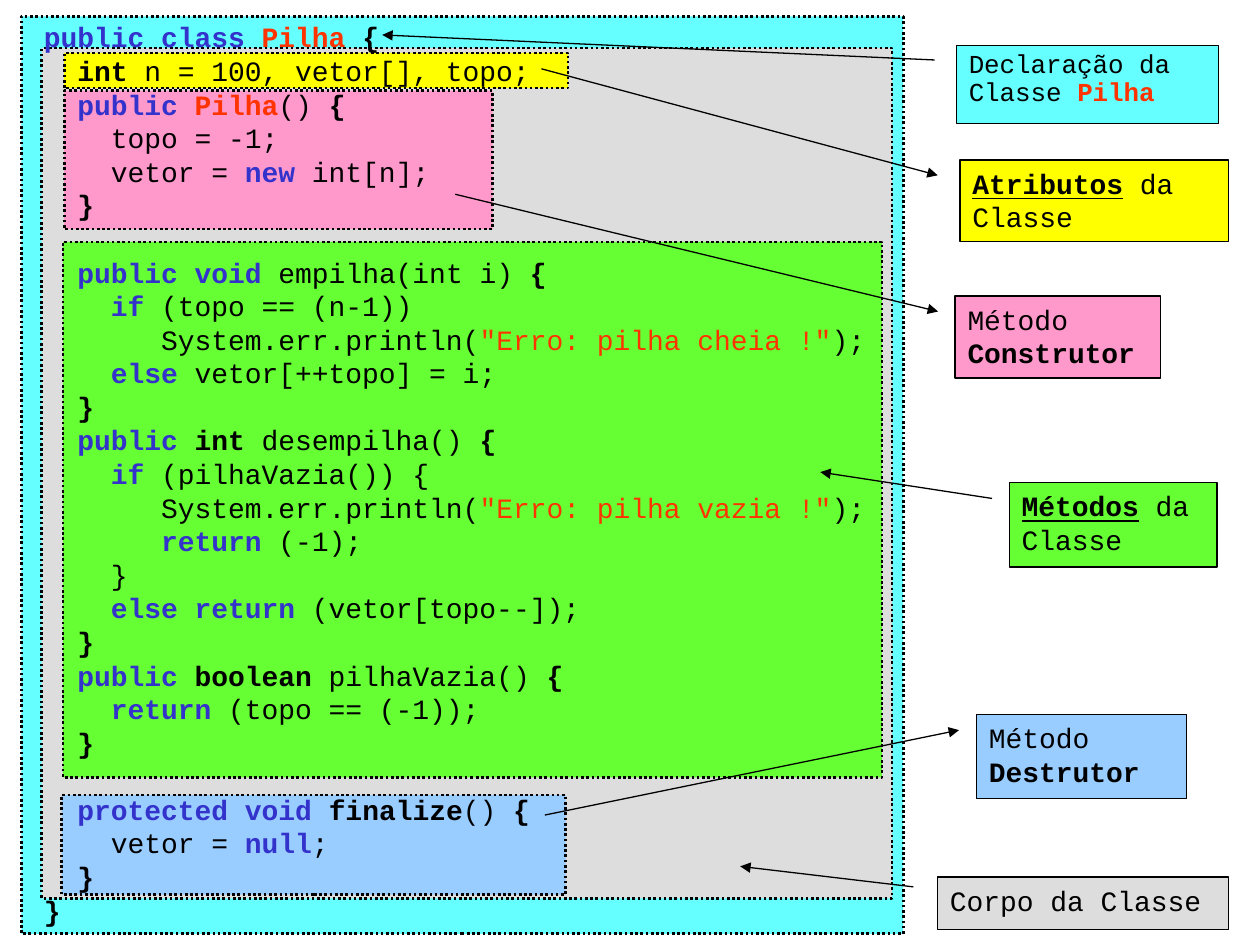
"""Build a slide that annotates the parts of a Java stack class."""
import pptx
import pptx.dml.color
import pptx.enum.dml
import pptx.enum.shapes
import pptx.enum.text
import pptx.oxml.ns
import pptx.util
from lxml import etree

Pt = pptx.util.Pt
RGB = pptx.dml.color.RGBColor
SHAPES = pptx.enum.shapes.MSO_SHAPE

BLACK = RGB(0x00, 0x00, 0x00)
KEYWORD_BLUE = RGB(0x33, 0x33, 0xCC)
RED = RGB(0xFF, 0x33, 0x00)
CYAN = RGB(0x66, 0xFF, 0xFF)
GRAY = RGB(0xDD, 0xDD, 0xDD)
GREEN = RGB(0x66, 0xFF, 0x33)
YELLOW = RGB(0xFF, 0xFF, 0x00)
SKY = RGB(0x99, 0xCC, 0xFF)
PINK = RGB(0xFF, 0x99, 0xCC)

FONT = "Courier New"
SIZE = 16
LINE_PITCH = 19.2
CALLOUT_START = (0.188, -0.083)

PLAIN = {}
BOLD = {"bold": True}
TERM = {"bold": True, "underline": True}
KEY = {"bold": True, "color": KEYWORD_BLUE}
NAME = {"bold": True, "color": RED}
STRING = {"color": RED}

FRAMES = [
    (CYAN, (12.2, 9.4, 504, 524.2)),
    (GRAY, (23.8, 27.4, 486, 486)),
    (GREEN, (36, 138.2, 468, 306)),
    (YELLOW, (36.7, 30.2, 288, 20.2)),
    (SKY, (35.3, 454.3, 288, 56.9)),
    (PINK, (36.7, 51.8, 244.8, 79.2)),
]

CALLOUTS = [
    (CYAN, (546.5, 25.9, 149.8, 44.6), (-0.134, -2.19), "tailEnd", 14.8, 0.9,
     [[("Declaração da Classe ", PLAIN), ("Pilha", NAME)]]),
    (GRAY, (535.7, 501.1, 166.3, 30.2), (-0.2, -0.678), "tailEnd", SIZE, 1,
     [[("Corpo da Classe", PLAIN)]]),
    (GREEN, (576.7, 275.8, 118.8, 48.2), (-0.125, -0.909), "tailEnd", SIZE, 1,
     [[("Métodos", TERM), (" da Classe", PLAIN)]]),
    (YELLOW, (548.6, 91.4, 153.4, 46.8), (-1.113, -1.559), "headEnd", SIZE, 1,
     [[("Atributos", TERM), (" da Classe", PLAIN)]]),
    (SKY, (558, 408.2, 120.2, 48.2), (1.195, -2.052), "headEnd", SIZE, 1,
     [[("Método ", PLAIN), ("Destrutor", BOLD)]]),
    (PINK, (545.8, 169.2, 117.4, 46.8), (-1.244, -2.433), "headEnd", SIZE, 1,
     [[("Método", PLAIN)], [("Construtor", BOLD)]]),
]

CODE_BOX = (18, 7.9, 686.2, 525.6)
CODE_BLOCKS = [
    [
        [("public class ", KEY), ("Pilha ", NAME), ("{", BOLD)],
        [("  ", PLAIN), ("int", BOLD), (" n = 100, vetor[], topo;", PLAIN)],
        [("  ", PLAIN), ("public ", KEY), ("Pilha", NAME), ("() ", PLAIN), ("{", BOLD)],
        [("    topo = -1;", PLAIN)],
        [("    vetor = ", PLAIN), ("new", KEY), (" int[n];", PLAIN)],
        [("  }", BOLD)],
    ],
    [
        [("  ", PLAIN), ("public void", KEY), (" empilha(int i) ", PLAIN), ("{", BOLD)],
        [("    ", PLAIN), ("if", KEY), (" (topo == (n-1))", PLAIN)],
        [("       System.err.println(", PLAIN), ('"Erro: pilha cheia !"', STRING), (");", PLAIN)],
        [("    ", PLAIN), ("else", KEY), (" vetor[++topo] = i;", PLAIN)],
        [("  }", BOLD)],
        [("  ", PLAIN), ("public ", KEY), ("int", BOLD), (" desempilha() ", PLAIN), ("{", BOLD)],
        [("    ", PLAIN), ("if", KEY), (" (pilhaVazia()) {", PLAIN)],
        [("       System.err.println(", PLAIN), ('"Erro: pilha vazia !"', STRING), (");", PLAIN)],
        [("       ", PLAIN), ("return", KEY), (" (-1);", PLAIN)],
        [("    }", PLAIN)],
        [("    ", PLAIN), ("else return", KEY), (" (vetor[topo--]);", PLAIN)],
        [("  }", BOLD)],
        [("  ", PLAIN), ("public ", KEY), ("boolean", BOLD), (" pilhaVazia() ", PLAIN), ("{", BOLD)],
        [("    ", PLAIN), ("return", KEY), (" (topo == (-1));", PLAIN)],
        [("  }", BOLD)],
    ],
    [
        [("  ", PLAIN), ("protected void ", KEY), ("finalize", BOLD), ("() ", PLAIN), ("{", BOLD)],
        [("    vetor = ", PLAIN), ("null", KEY), (";", PLAIN)],
        [("  }", BOLD)],
        [("}", BOLD)],
    ],
]


def add_run(p, text, *, size=SIZE, color=BLACK, bold=False, underline=False):
    r = p.add_run()
    r.text = text
    r.font.name = FONT
    r.font.size = Pt(size)
    r.font.color.rgb = color
    r.font.bold = bold
    r.font.underline = underline


def fill_text(tf, lines, *, size=SIZE, spacing=1, gaps=()):
    tf.word_wrap = True
    tf.vertical_anchor = pptx.enum.text.MSO_ANCHOR.TOP
    for i, runs in enumerate(lines):
        p = tf.add_paragraph() if i else tf.paragraphs[0]
        p.alignment = pptx.enum.text.PP_ALIGN.LEFT
        p.line_spacing = spacing
        if i in gaps:
            p.space_before = Pt(LINE_PITCH)
        for text, style in runs:
            add_run(p, text, size=size, **style)


def add_box(s, kind, box, fill, width):
    sp = s.shapes.add_shape(kind, *map(Pt, box))
    sp.shadow.inherit = False
    sp.fill.solid()
    sp.fill.fore_color.rgb = fill
    sp.line.color.rgb = BLACK
    sp.line.width = Pt(width)
    return sp


def add_callout(s, fill, box, end, arrow, size, spacing, lines):
    sp = add_box(s, SHAPES.LINE_CALLOUT_1, box, fill, 0.75)
    for i, value in enumerate(CALLOUT_START + end):
        sp.adjustments[i] = value
    ln = sp.line._get_or_add_ln()
    etree.SubElement(ln, pptx.oxml.ns.qn("a:" + arrow), type="triangle")
    fill_text(sp.text_frame, lines, size=size, spacing=spacing)


def main():
    prs = pptx.Presentation()
    prs.slide_width, prs.slide_height = Pt(720), Pt(540)
    s = prs.slides.add_slide(prs.slide_layouts[6])

    for fill, box in FRAMES:
        sp = add_box(s, SHAPES.RECTANGLE, box, fill, 1.5)
        sp.line.dash_style = pptx.enum.dml.MSO_LINE.ROUND_DOT
    for callout in CALLOUTS:
        add_callout(s, *callout)

    lines, gaps = [], []
    for block in CODE_BLOCKS:
        if lines:
            gaps.append(len(lines))
        lines += block
    tf = s.shapes.add_textbox(*map(Pt, CODE_BOX)).text_frame
    fill_text(tf, lines, gaps=gaps)

    prs.save("out.pptx")


if __name__ == "__main__":
    main()
